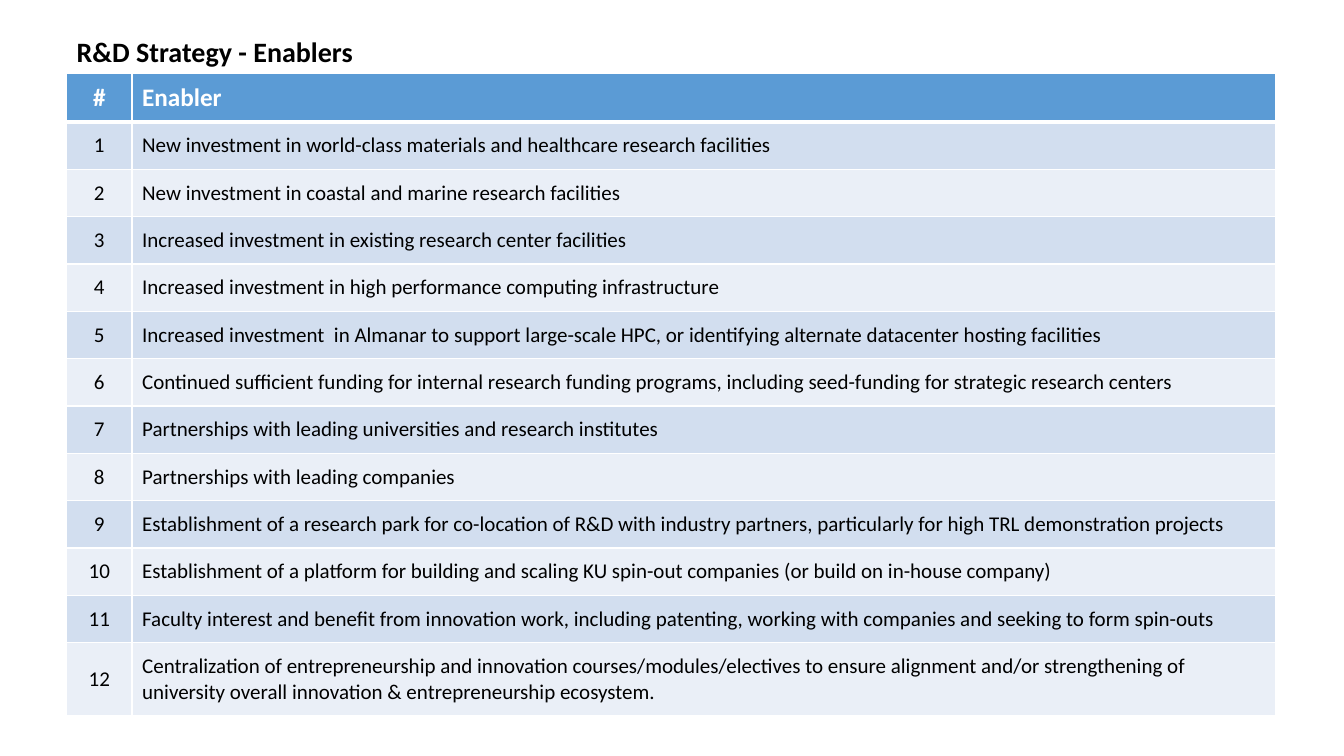
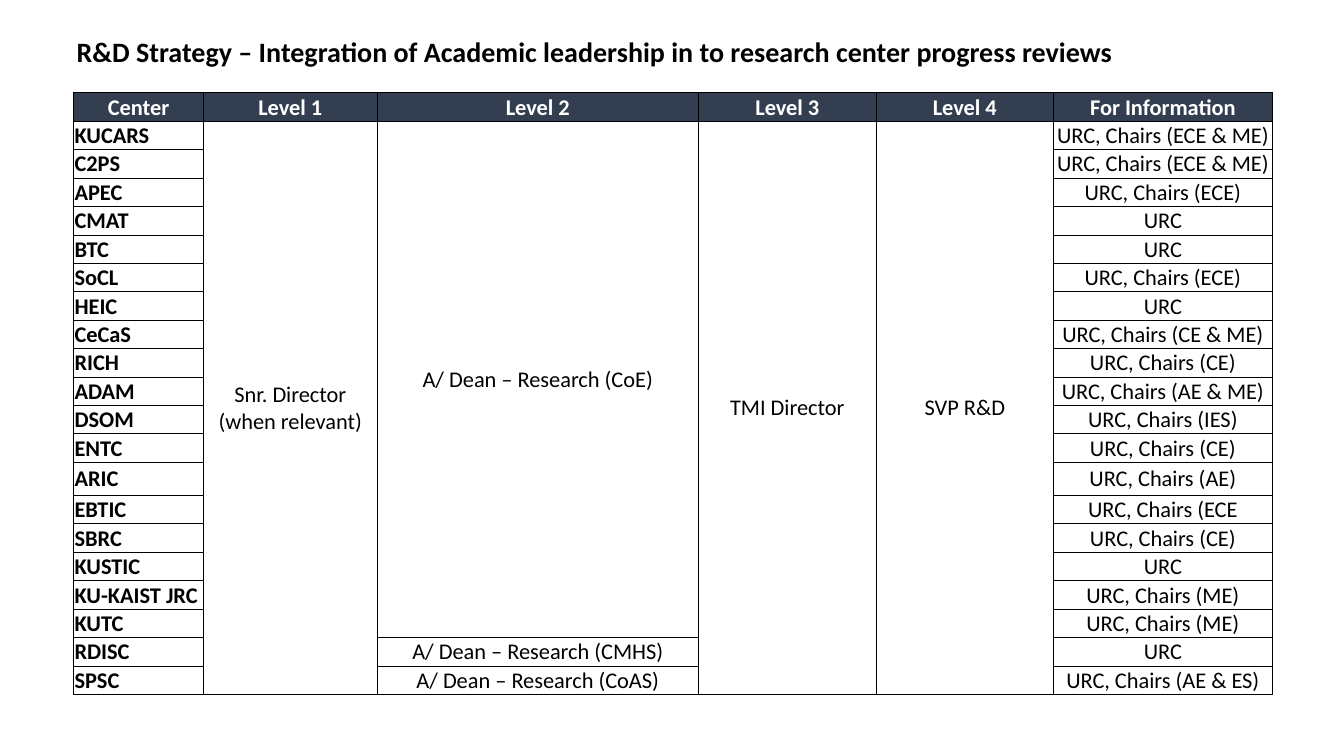
from lxml import etree
from pptx import Presentation
from pptx.dml.color import RGBColor
from pptx.enum.text import MSO_ANCHOR, PP_ALIGN
from pptx.oxml.ns import qn
from pptx.util import Inches, Pt

LEFT, CENTER = PP_ALIGN.LEFT, PP_ALIGN.CENTER
TOP, MIDDLE, BOTTOM = MSO_ANCHOR.TOP, MSO_ANCHOR.MIDDLE, MSO_ANCHOR.BOTTOM

BLACK = RGBColor(0x00, 0x00, 0x00)
WHITE = RGBColor(0xFF, 0xFF, 0xFF)
BLUE = RGBColor(0x5B, 0x9B, 0xD5)
NAVY = RGBColor(0x33, 0x3F, 0x50)
BANDS = (RGBColor(0xEA, 0xEF, 0xF7), RGBColor(0xD2, 0xDE, 0xEF))
FONT = "Calibri"
TITLE_ONLY = 5

ENABLERS = [
    "New investment in world-class materials and healthcare research facilities",
    "New investment in coastal and marine research facilities",
    "Increased investment in existing research center facilities",
    "Increased investment in high performance computing infrastructure",
    "Increased investment  in Almanar to support large-scale HPC, or identifying alternate datacenter hosting facilities",
    "Continued sufficient funding for internal research funding programs, including seed-funding for strategic research centers",
    "Partnerships with leading universities and research institutes",
    "Partnerships with leading companies",
    "Establishment of a research park for co-location of R&D with industry partners, particularly for high TRL demonstration projects",
    "Establishment of a platform for building and scaling KU spin-out companies (or build on in-house company)",
    "Faculty interest and benefit from innovation work, including patenting, working with companies and seeking to form spin-outs",
    "Centralization of entrepreneurship and innovation courses/modules/electives to ensure alignment and/or strengthening of university overall innovation & entrepreneurship ecosystem.",
]

LEVELS = ["Center", "Level 1", "Level 2", "Level 3", "Level 4", "For Information"]
CENTERS = [
    ("KUCARS", "URC, Chairs (ECE & ME)"),
    ("C2PS", "URC, Chairs (ECE & ME)"),
    ("APEC", "URC, Chairs (ECE)"),
    ("CMAT", "URC"),
    ("BTC", "URC"),
    ("SoCL", "URC, Chairs (ECE)"),
    ("HEIC", "URC"),
    ("CeCaS", "URC, Chairs (CE & ME)"),
    ("RICH", "URC, Chairs (CE)"),
    ("ADAM", "URC, Chairs (AE & ME)"),
    ("DSOM", "URC, Chairs (IES)"),
    ("ENTC", "URC, Chairs (CE)"),
    ("ARIC", "URC, Chairs (AE)"),
    ("EBTIC", "URC, Chairs (ECE"),
    ("SBRC", "URC, Chairs (CE)"),
    ("KUSTIC", "URC"),
    ("KU-KAIST JRC", "URC, Chairs (ME)"),
    ("KUTC", "URC, Chairs (ME)"),
    ("RDISC", "URC"),
    ("SPSC", "URC, Chairs (AE & ES)"),
]
# First row, last row, column and text of each reviewer
REVIEWS = [
    (1, 20, 1, "Snr. Director (when relevant)"),
    (1, 18, 2, "A/ Dean – Research (CoE)"),
    (19, 19, 2, "A/ Dean – Research (CMHS)"),
    (20, 20, 2, "A/ Dean – Research (CoAS)"),
    (1, 20, 3, "TMI Director"),
    (1, 20, 4, "SVP R&D"),
]


def write(frame, text, size=16, color=BLACK, bold=False, align=LEFT):
    """Put one formatted paragraph in a text frame."""
    para = frame.paragraphs[0]
    para.alignment = align
    run = para.add_run()
    run.text = text
    font = run.font
    font.name, font.size, font.bold = FONT, Pt(size), bold
    font.color.rgb = color


class Deck:
    def __init__(self):
        self.prs = Presentation()
        self.prs.slide_width = Inches(13.33)
        self.prs.slide_height = Inches(7.5)
        self.slide = None

    def page(self, text):
        """Start a slide with its title."""
        self.slide = self.prs.slides.add_slide(self.prs.slide_layouts[TITLE_ONLY])
        title = self.slide.shapes.title
        title.left, title.top = Inches(0.66), Inches(0.29)
        title.width, title.height = Inches(11.99), Inches(0.44)
        frame = title.text_frame
        frame.word_wrap = True
        frame.vertical_anchor = TOP
        write(frame, text, size=20, bold=True)

    def table(self, left, top, cols, rows):
        """Add a table with the given column widths and row heights."""
        shape = self.slide.shapes.add_table(
            len(rows), len(cols), Inches(left), Inches(top),
            Inches(sum(cols)), Inches(sum(rows)))
        grid = shape.table
        for col, width in zip(grid.columns, cols):
            col.width = Inches(width)
        for row, height in zip(grid.rows, rows):
            row.height = Inches(height)
        return grid

    def cell(self, cell, fill=None, anchor=MIDDLE, line=BLACK, width=0.5,
             edges=None, inset=None):
        """Set borders, fill, anchor and margins; edges overrides widths by side."""
        props = cell._tc.get_or_add_tcPr()
        for side in "LRTB":
            points = (edges or {}).get(side, width)
            edge = etree.SubElement(props, qn("a:ln" + side), w=str(Pt(points)))
            solid = etree.SubElement(edge, qn("a:solidFill"))
            etree.SubElement(solid, qn("a:srgbClr"), val=str(line))
        if fill is None:
            cell.fill.background()
        else:
            cell.fill.solid()
            cell.fill.fore_color.rgb = fill
        cell.vertical_anchor = anchor
        if inset is not None:
            cell.margin_left = cell.margin_right = cell.margin_top = Inches(inset)
            cell.margin_bottom = 0


def enablers(deck):
    deck.page("R&D Strategy - Enablers")
    rows = [("#", "Enabler")] + [(str(n), t) for n, t in enumerate(ENABLERS, 1)]
    grid = deck.table(0.66, 0.73, [0.65, 11.34], [0.48] + [0.47] * 11 + [0.72])
    for r, row in enumerate(rows):
        head = r == 0
        # The rule below the header is thick
        edges = {0: {"B": 3}, 1: {"T": 3}}.get(r)
        for c, text in enumerate(row):
            cell = grid.cell(r, c)
            deck.cell(cell, fill=BLUE if head else BANDS[r % 2],
                      line=WHITE, width=1, edges=edges)
            write(cell.text_frame, text, size=18 if head else 15,
                  color=WHITE if head else BLACK, bold=head,
                  align=LEFT if c else CENTER)


def reviews(deck):
    deck.page("R&D Strategy – Integration of Academic leadership in to research center progress reviews")
    rows = [0.27] * 13 + [0.33] + [0.27] * 7
    grid = deck.table(0.73, 0.92, [1.29, 1.72, 3.19, 1.76, 1.76, 2.17], rows)
    for r in range(len(rows)):
        for c in range(len(LEVELS)):
            deck.cell(grid.cell(r, c), fill=None if r else NAVY,
                      anchor=MIDDLE if r else BOTTOM, inset=0.01)
    # Header
    for c, text in enumerate(LEVELS):
        write(grid.cell(0, c).text_frame, text, color=WHITE, bold=True, align=CENTER)
    # Outer columns
    for r, (name, info) in enumerate(CENTERS, 1):
        write(grid.cell(r, 0).text_frame, name, bold=True)
        write(grid.cell(r, 5).text_frame, info, align=CENTER)
    # Reviewers, merged over the centers they cover
    for first, last, c, text in REVIEWS:
        cell = grid.cell(first, c)
        if last > first:
            cell.merge(grid.cell(last, c))
        write(cell.text_frame, text, align=CENTER)


def main():
    deck = Deck()
    enablers(deck)
    reviews(deck)
    deck.prs.save("out.pptx")


if __name__ == "__main__":
    main()
